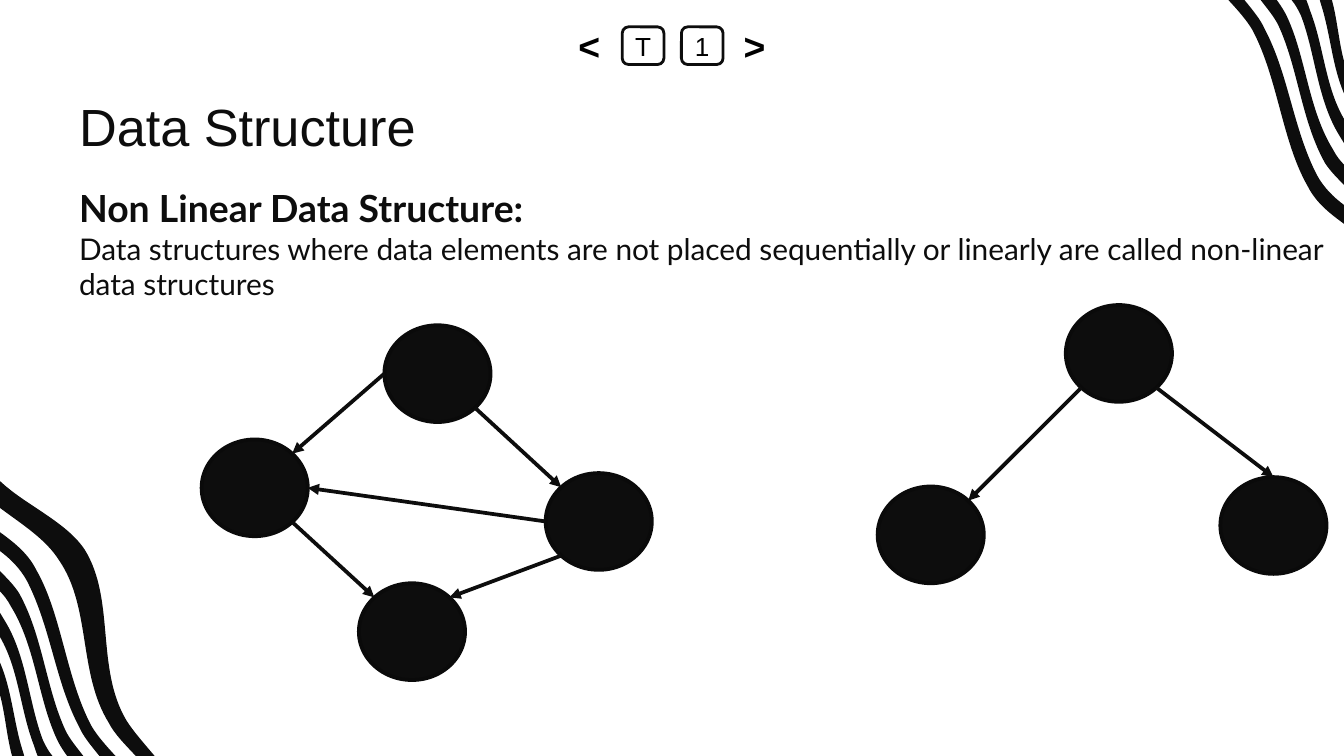
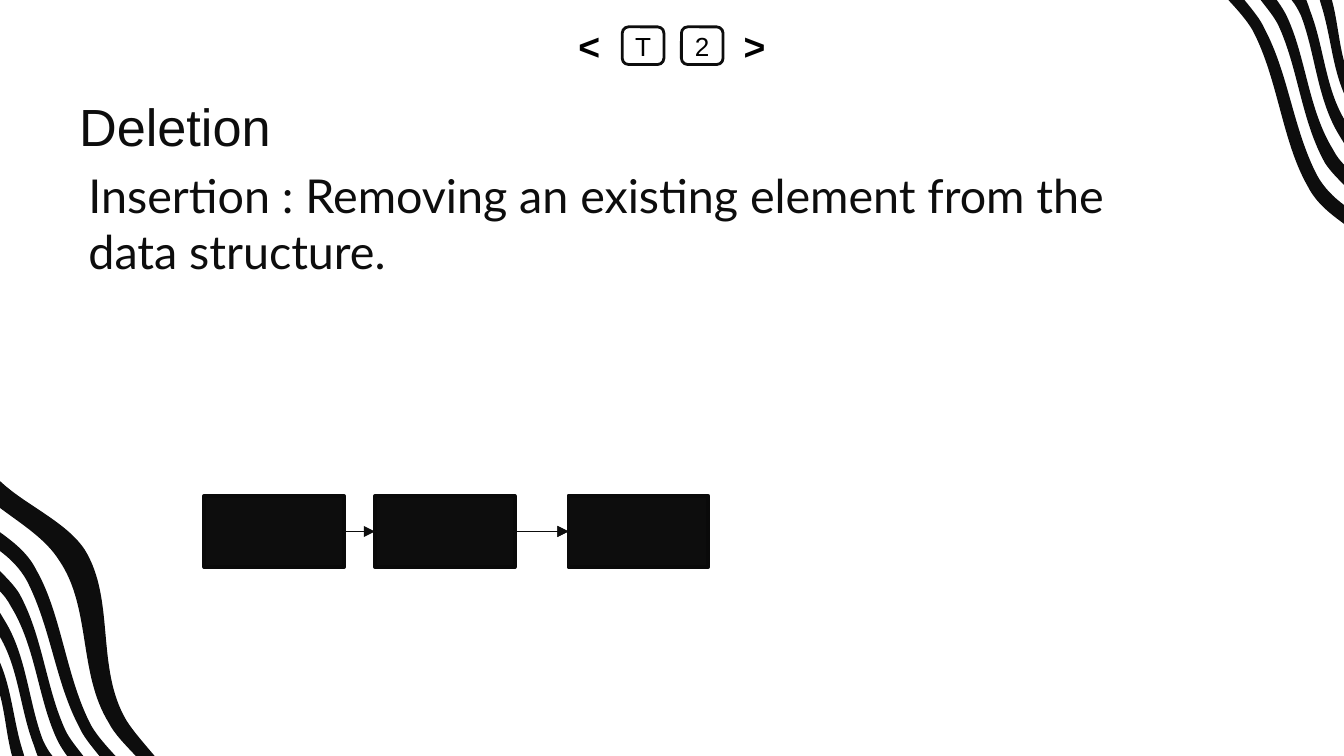
from lxml import etree
from pptx import Presentation
from pptx.dml.color import RGBColor
from pptx.enum.shapes import MSO_CONNECTOR, MSO_SHAPE
from pptx.enum.text import MSO_ANCHOR, PP_ALIGN
from pptx.oxml.ns import qn
from pptx.util import Pt

PX = 9144  # EMU per px, 100 px to the inch
WIDTH = 1000 * PX
HEIGHT = WIDTH * 9 // 16
INK, EDGE, BLACK, WHITE = "0D0D0D", "0A0A0A", "000000", "FFFFFF"

# Each wave: a start point, then line ends (one point) or Bezier curves (three points).
WAVES = [
    [[(0, 358)], [(0, 378)], [(16, 390), (34, 401), (44, 417)],
     [(68, 452), (58, 501), (81, 538)], [(85, 546), (93, 554), (101, 563)], [(115, 563)],
     [(107, 553), (99, 544), (94, 536)], [(71, 497), (86, 446), (63, 409)],
     [(49, 388), (19, 376), (0, 358)]],
    [[(0, 396)], [(0, 410)], [(8, 416), (15, 423), (20, 432)],
     [(38, 467), (41, 507), (59, 541)], [(62, 548), (68, 555), (74, 563)], [(86, 563)],
     [(79, 555), (72, 547), (68, 540)], [(49, 504), (46, 457), (27, 424)],
     [(21, 412), (11, 404), (0, 396)]],
    [[(0, 425)], [(0, 440)], [(3, 443), (6, 447), (8, 451)],
     [(26, 480), (28, 517), (41, 547)], [(43, 552), (46, 557), (50, 563)], [(62, 563)],
     [(57, 556), (52, 550), (49, 544)], [(34, 512), (32, 473), (14, 441)],
     [(10, 435), (5, 430), (0, 425)]],
    [[(0, 456)], [(0, 474)], [(14, 498), (15, 528), (25, 554)],
     [(26, 557), (27, 560), (28, 563)], [(39, 563)], [(36, 559), (34, 555), (32, 551)],
     [(21, 522), (20, 488), (3, 461)], [(2, 459), (1, 458), (0, 456)]],
    [[(0, 493)], [(0, 517)], [(4, 532), (5, 548), (9, 563)], [(18, 563)],
     [(18, 561), (17, 560), (17, 559)], [(10, 537), (9, 514), (0, 493)]],
]

BUTTON_TOP, BUTTON_SIZE = 20, (31, 28)
KEY_FORMAT = {"size": Pt(14), "name": "Arial", "bold": False}
ARROW_FORMAT = {"size": Pt(20), "name": "Arial", "bold": True}
TITLE_FORMAT = {"size": Pt(28), "name": "Arial"}
HEADING_FORMAT = {"size": Pt(20), "name": "Lato", "bold": True}
BODY_FORMAT = {"size": Pt(16), "name": "Lato", "bold": False}
LARGE_FORMAT = {"size": Pt(25), "name": "Lato"}
TITLE_BOX = (49, 66, 809, 63)

SLIDES = [
    {
        "number": "1",
        "title": "Data Structure",
        "body_box": (49, 128, 973, 120),
        "body": [
            ("Non Linear Data Structure:", HEADING_FORMAT),
            ("Data structures where data elements are not placed sequentially or linearly "
             "are called non-linear data structures", BODY_FORMAT),
        ],
        "nodes": {
            "graph left": (150, 327), "graph bottom": (267, 434), "graph top": (286, 242),
            "graph right": (406, 352), "tree root": (793, 227), "tree left": (653, 362),
            "tree right": (908, 355),
        },
        "edges": [
            ("graph top", "left", "graph left", "top right"),
            ("graph left", "bottom right", "graph bottom", "top left"),
            ("graph top", "bottom right", "graph right", "top left"),
            ("graph right", "bottom left", "graph bottom", "top right"),
            ("graph right", "left", "graph left", "right"),
            ("tree root", "bottom left", "tree left", "top right"),
            ("tree root", "bottom right", "tree right", "top"),
        ],
    },
    {
        "number": "2",
        "title": "Deletion",
        "body_box": (56, 114, 802, 109),
        "body": [("Insertion : Removing an existing element from the data structure.",
                  LARGE_FORMAT)],
        "cells": [152, 279, 423],
        "links": [(0, 1), (1, 2), (0, 2)],
    },
]

NODE_SIZE = (79, 72)
CELL_TOP, CELL_SIZE = 369, (104, 53)
LEFT_SIDE, RIGHT_SIDE = 1, 3


def color(hex_code):
    return RGBColor.from_string(hex_code)


def style_shape(shape, fill, line=None, line_width=2):
    shape.shadow.inherit = False
    shape.fill.solid()
    shape.fill.fore_color.rgb = color(fill)
    if line:
        shape.line.color.rgb = color(line)
        shape.line.width = Pt(line_width)
    else:
        shape.line.fill.background()


def add_preset(slide, kind, position, size, fill, line=None, line_width=2):
    shape = slide.shapes.add_shape(kind, *(value * PX for value in (*position, *size)))
    style_shape(shape, fill, line, line_width)
    return shape


def write_text(shape, paragraphs, ink, inset, **paragraph_format):
    """Fill a shape with (text, font format) paragraphs."""
    frame = shape.text_frame
    frame.word_wrap = True
    for side in ("left", "top", "right", "bottom"):
        setattr(frame, f"margin_{side}", inset * PX)
    for index, (text, font_format) in enumerate(paragraphs):
        paragraph = frame.add_paragraph() if index else frame.paragraphs[0]
        for name, value in paragraph_format.items():
            setattr(paragraph, name, value)
        run = paragraph.add_run()
        run.text = text
        run.font.color.rgb = color(ink)
        for name, value in font_format.items():
            setattr(run.font, name, value)
    return frame


def add_text_box(slide, box, paragraphs, **paragraph_format):
    shape = slide.shapes.add_textbox(*(value * PX for value in box))
    return write_text(shape, paragraphs, INK, 10, **paragraph_format)


def add_wave(slide, wave, turned):
    """Draw one wave, turned half round the slide's centre if asked."""
    points = [(x * PX, min(y * PX, HEIGHT)) for segment in wave for x, y in segment]
    if turned:
        points = [(WIDTH - x, HEIGHT - y) for x, y in points]
    builder = slide.shapes.build_freeform(*points[0])
    builder.add_line_segments(points[1:], close=True)
    shape = builder.convert_to_shape()
    style_shape(shape, INK)
    lines = iter(list(shape._element.iter(qn("a:lnTo"))))
    for segment in wave[1:]:
        parts = [next(lines) for _ in segment]
        if len(parts) == 3:
            curve = etree.Element(qn("a:cubicBezTo"))
            parts[0].addprevious(curve)
            for part in parts:
                curve.append(part[0])
                part.getparent().remove(part)
    return shape


def move_waves_to_layout(slide):
    """Draw the waves bottom left, and all but the outer one top right, for every slide."""
    shapes = [add_wave(slide, wave, False) for wave in WAVES]
    shapes += [add_wave(slide, wave, True) for wave in WAVES[1:]]
    for shape in shapes:
        slide.slide_layout.shapes._spTree.append(shape._element)


def add_buttons(slide, number):
    buttons = [(507, number, INK, KEY_FORMAT), (463, "T", INK, KEY_FORMAT),
               (423, "<", None, ARROW_FORMAT), (546, ">", None, ARROW_FORMAT)]
    for left, label, line, font_format in buttons:
        button = add_preset(slide, MSO_SHAPE.ROUNDED_RECTANGLE, (left, BUTTON_TOP),
                            BUTTON_SIZE, WHITE, line, 1.5)
        frame = write_text(button, [(label, font_format)], BLACK, 0,
                           alignment=PP_ALIGN.CENTER)
        frame.vertical_anchor = MSO_ANCHOR.MIDDLE


def add_arrow(slide, start, end, width):
    connector = slide.shapes.add_connector(MSO_CONNECTOR.STRAIGHT, *start, *end)
    connector.line.color.rgb = color(INK)
    connector.line.width = Pt(width)
    line = connector.line._get_or_add_ln()
    etree.SubElement(line, qn("a:tailEnd"), type="triangle")
    etree.SubElement(connector._element.spPr, qn("a:effectLst"))
    return connector


def rim_point(position, side):
    """Return the point in EMU where an arrow meets a node at the named side."""
    across = ("right" in side) - ("left" in side)
    down = ("bottom" in side) - ("top" in side)
    reach = 0.5 / (across ** 2 + down ** 2) ** 0.5
    return tuple(round((start + length * (0.5 + reach * direction)) * PX)
                 for start, length, direction in zip(position, NODE_SIZE, (across, down)))


def add_graph(slide, nodes, edges):
    for position in nodes.values():
        add_preset(slide, MSO_SHAPE.OVAL, position, NODE_SIZE, INK, EDGE)
    for source, source_side, target, target_side in edges:
        add_arrow(slide, rim_point(nodes[source], source_side),
                  rim_point(nodes[target], target_side), 2)


def add_linked_list(slide, lefts, links):
    cells = [add_preset(slide, MSO_SHAPE.RECTANGLE, (left, CELL_TOP), CELL_SIZE, INK, EDGE)
             for left in lefts]
    for source, target in links:
        arrow = add_arrow(slide, (0, 0), (0, 0), 0.75)
        arrow.begin_connect(cells[source], RIGHT_SIDE)
        arrow.end_connect(cells[target], LEFT_SIDE)


def add_slide(presentation, content):
    slide = presentation.slides.add_slide(presentation.slide_layouts[6])
    slide.background.fill.solid()
    slide.background.fill.fore_color.rgb = color(WHITE)
    if len(presentation.slides) == 1:
        move_waves_to_layout(slide)
    add_buttons(slide, content["number"])
    title = add_text_box(slide, TITLE_BOX, [(content["title"], TITLE_FORMAT)],
                         line_spacing=0.8)
    title.vertical_anchor = MSO_ANCHOR.MIDDLE
    add_text_box(slide, content["body_box"], content["body"])
    if "nodes" in content:
        add_graph(slide, content["nodes"], content["edges"])
    if "cells" in content:
        add_linked_list(slide, content["cells"], content["links"])


def main():
    presentation = Presentation()
    presentation.slide_width = WIDTH
    presentation.slide_height = HEIGHT
    for content in SLIDES:
        add_slide(presentation, content)
    presentation.save("out.pptx")


if __name__ == "__main__":
    main()
